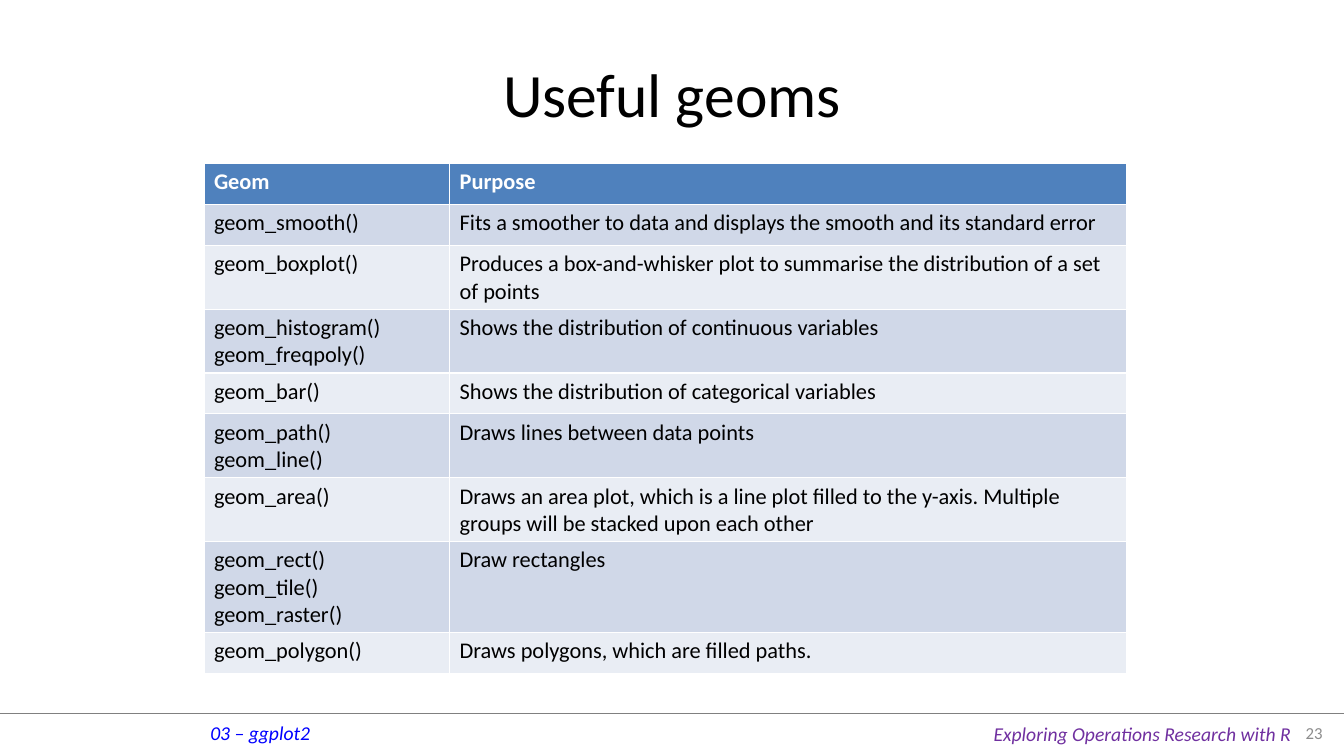
from pptx import Presentation
from pptx.dml.color import RGBColor as RGB
from pptx.enum.shapes import MSO_CONNECTOR as Conn
from pptx.enum.text import MSO_ANCHOR as Anchor, PP_ALIGN as Align
from pptx.oxml.ns import qn
from pptx.util import Cm, Pt


def style(para, size, color, bold=False, italic=False):
    font = para.font
    font.name, font.size = "Calibri", Pt(size)
    font.bold, font.italic = bold, italic
    font.color.rgb = RGB.from_string(color)


deck = Presentation()
deck.slide_width, deck.slide_height = Cm(33.87), Cm(19.05)
slide = deck.slides.add_slide(deck.slide_layouts[5])
shapes = slide.shapes

# Footer
rule = shapes.add_connector(Conn.STRAIGHT, 0, Cm(17.96), deck.slide_width, Cm(17.96))
rule.line.color.rgb = RGB.from_string("808080")
rule.line.width = Pt(0.25)
props = rule._element.spPr
props.append(props.makeelement(qn("a:effectLst"), {}))

notes = [
    ("03 – ggplot2", 5.05, 18.03, 3.05, 0.86, 14, "0000FF", True, Align.LEFT),
    ("Exploring Operations Research with R", 24.79, 18.06, 8.08, 0.86, 14, "7030A0", True, Align.LEFT),
    ("23", 32.18, 17.96, 1.4, 0.99, 12, "8C8C8C", False, Align.RIGHT),
]
for text, left, top, width, height, size, color, slant, align in notes:
    box = shapes.add_textbox(Cm(left), Cm(top), Cm(width), Cm(height))
    frame = box.text_frame
    frame.word_wrap = not slant
    frame.vertical_anchor = Anchor.MIDDLE
    frame.text = text
    para = frame.paragraphs[0]
    para.alignment = align
    style(para, size, color, italic=slant)

# Title
title = shapes.title
title.left, title.top = Cm(1.7), Cm(0.76)
title.width, title.height = Cm(30.48), Cm(3.18)
title.text_frame.text = "Useful geoms"
title.text_frame.vertical_anchor = Anchor.MIDDLE
head = title.text_frame.paragraphs[0]
head.alignment = Align.CENTER
style(head, 44, "000000")

# Table of geoms
rows = [
    ("Geom", "Purpose"),
    ("geom_smooth()", "Fits a smoother to data and displays the smooth and its standard error"),
    ("geom_boxplot()", "Produces a box-and-whisker plot to summarise the distribution of a set of points"),
    ("geom_histogram()\ngeom_freqpoly()", "Shows the distribution of continuous variables"),
    ("geom_bar()", "Shows the distribution of categorical variables"),
    ("geom_path()\ngeom_line()", "Draws lines between data points"),
    ("geom_area()", "Draws an area plot, which is a line plot filled to the y-axis. "
                    "Multiple groups will be stacked upon each other"),
    ("geom_rect()\ngeom_tile()\ngeom_raster()", "Draw rectangles"),
    ("geom_polygon()", "Draws polygons, which are filled paths."),
]
widths = Cm(6.19), Cm(17.05)
step = Cm(1.03)
table = shapes.add_table(len(rows), 2, Cm(5.14), Cm(4.12), sum(widths), step * len(rows)).table
for col, width in zip(table.columns, widths):
    col.width = width
for r, row in enumerate(rows):
    table.rows[r].height = step
    fill = "4F81BD" if r == 0 else ("E9EDF4", "D0D8E8")[r % 2]
    for c, text in enumerate(row):
        cell = table.cell(r, c)
        cell.fill.solid()
        cell.fill.fore_color.rgb = RGB.from_string(fill)
        cell.text = text
        for para in cell.text_frame.paragraphs:
            style(para, 16, "000000" if r else "FFFFFF", bold=r == 0)

deck.save("out.pptx")
